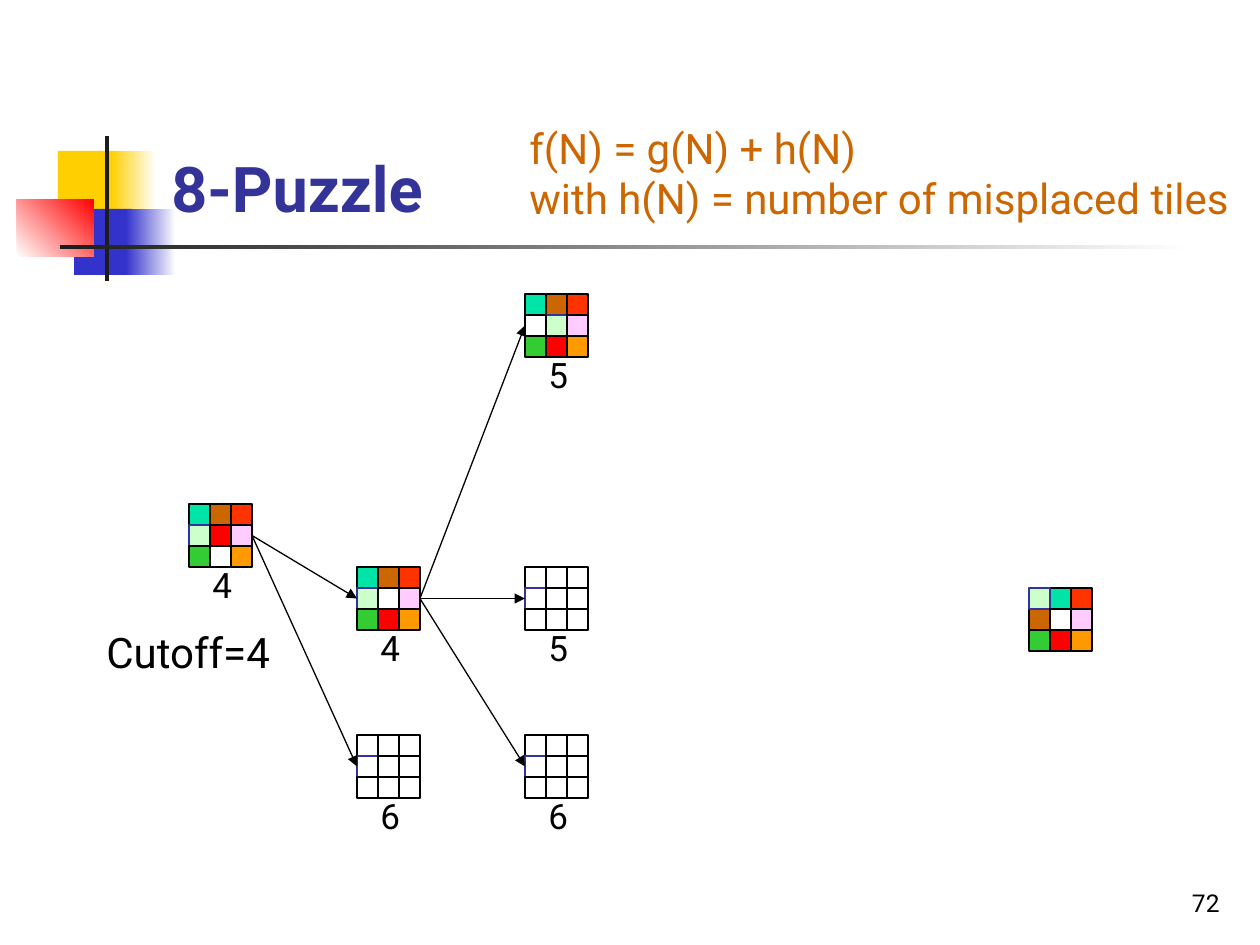
from dataclasses import dataclass

from lxml import etree
from pptx import Presentation
from pptx.dml.color import RGBColor as RGB
from pptx.enum.shapes import MSO_CONNECTOR as Conn, MSO_SHAPE as Shape
from pptx.enum.text import MSO_ANCHOR as Anchor, PP_ALIGN as Align
from pptx.oxml.ns import qn
from pptx.util import Pt

PX = 914400 / 126  # EMU in one px
CELL = 21
SIDE = 3 * CELL


@dataclass(frozen=True)
class Theme:
    font: str = "Roboto"
    title_size: int = 36
    body_size: int = 24
    label_size: int = 20
    number_size: int = 14
    line_width: float = 0.75
    black: str = "000000"
    white: str = "FFFFFF"
    title: str = "333399"
    formula: str = "CC6600"
    yellow: str = "FFCF01"
    blue: str = "3333CC"
    red: str = "FF0000"
    bar: str = "1C1C1C"


T = Theme()

# Tile letter -> fill, in drawing order; "_" is the empty square
TILES = {"T": "00E4A8", "B": "CC6600", "M": "CCFFCC", "R": "FF0000", "P": "FFCCFF",
         "G": "33CC33", "_": T.white, "O": "FF9900", "S": "FF3300"}
OUTLINES = {"M": T.title}
START = "TBSMRPG_O"

# Board: left, top, tile layout, whether its tiles are coloured, f value
BOARDS = {
    "start": (189, 504, START, True, "4"),
    "goal": (1029, 588, "MTSB_PGRO", True, None),
    "up": (357, 567, "TBSM_PGRO", True, "4"),
    "side": (357, 735, START, False, "6"),
    "up_right": (525, 735, START, False, "6"),
    "up_left": (525, 567, START, False, "5"),
    "up_up": (525, 294, "TBS_MPGRO", True, "5"),
}
MOVES = [("start", "up"), ("start", "side"), ("up", "up_right"),
         ("up", "up_left"), ("up", "up_up")]

# Decoration: box, colours from first to last stop, gradient angle
DECOR = [
    ((58, 151, 60, 66), [T.yellow], 0),
    ((111, 151, 45, 66), [T.yellow, T.white], 0),
    ((74, 209, 58, 66), [T.blue], 0),
    ((126, 209, 50, 66), [T.blue, T.white], 0),
    ((17, 199, 77, 58), [T.white, T.red], 45),
    ((105, 136, 4, 145), [T.bar], 0),
    ((60, 245, 1134, 4), [T.bar, T.white], 0),
]


def px(*values):
    return [round(v * PX) for v in values]


def set_all(obj, values):
    for name, value in values.items():
        setattr(obj, name, value)


def add_rect(s, box, colors, angle=0, outline=None):
    sp = s.shapes.add_shape(Shape.RECTANGLE, *px(*box))
    sp.shadow.inherit = False
    if len(colors) == 1:
        sp.fill.solid()
        sp.fill.fore_color.rgb = RGB.from_string(colors[0])
    else:
        sp.fill.gradient()
        sp.fill.gradient_angle = angle
        for stop, color in zip(sp.fill.gradient_stops, colors):
            stop.color.rgb = RGB.from_string(color)
    if outline:
        sp.line.color.rgb = RGB.from_string(outline)
        sp.line.width = Pt(T.line_width)
    else:
        sp.line.fill.background()


def add_text(s, box, lines, size, color=T.black, bold=False,
             align=Align.LEFT, anchor=Anchor.TOP):
    tf = s.shapes.add_textbox(*px(*box)).text_frame
    set_all(tf, {"word_wrap": True, "vertical_anchor": anchor})
    for i, line in enumerate(lines):
        p = tf.add_paragraph() if i else tf.paragraphs[0]
        p.alignment = align
        r = p.add_run()
        r.text = line
        set_all(r.font, {"name": T.font, "size": Pt(size), "bold": bold})
        r.font.color.rgb = RGB.from_string(color)


def add_board(s, left, top, layout, colored, value):
    if value:
        add_text(s, (left + 11, top + 53, 44, 54), [value], T.label_size)
    for tile, color in TILES.items():
        row, col = divmod(layout.index(tile), 3)
        box = (left + col * CELL, top + row * CELL, CELL, CELL)
        add_rect(s, box, [color if colored else T.white],
                 outline=OUTLINES.get(tile, T.black))


def add_arrow(s, source, target):
    """Join the right side of one board to the left side of another."""
    (x1, y1), (x2, y2) = BOARDS[source][:2], BOARDS[target][:2]
    ends = px(x1 + SIDE, y1 + SIDE / 2, x2, y2 + SIDE / 2)
    c = s.shapes.add_connector(Conn.STRAIGHT, *ends)
    c.line.color.rgb = RGB.from_string(T.black)
    c.line.width = Pt(T.line_width)
    etree.SubElement(c.line._get_or_add_ln(), qn("a:tailEnd"), type="triangle")
    etree.SubElement(c._element.spPr, qn("a:effectLst"))


def main():
    prs = Presentation()
    prs.slide_width, prs.slide_height = px(1260, 945)
    s = prs.slides.add_slide(prs.slide_layouts[6])

    # Corner decoration and rule
    for box, colors, angle in DECOR:
        add_rect(s, box, colors, angle)

    # Texts
    add_text(s, (970, 861, 262, 63), ["72"], T.number_size,
             align=Align.RIGHT, anchor=Anchor.BOTTOM)
    add_text(s, (159, 29, 1074, 202), ["8-Puzzle"], T.title_size, T.title,
             bold=True, anchor=Anchor.BOTTOM)
    add_text(s, (94, 620, 192, 63), ["Cutoff=4"], T.body_size)
    add_text(s, (517, 116, 733, 113),
             ["f(N) = g(N) + h(N)", "with h(N) = number of misplaced tiles"],
             T.body_size, T.formula)

    # Search tree
    for board in BOARDS.values():
        add_board(s, *board)
    for source, target in MOVES:
        add_arrow(s, source, target)

    prs.save("out.pptx")


if __name__ == "__main__":
    main()
